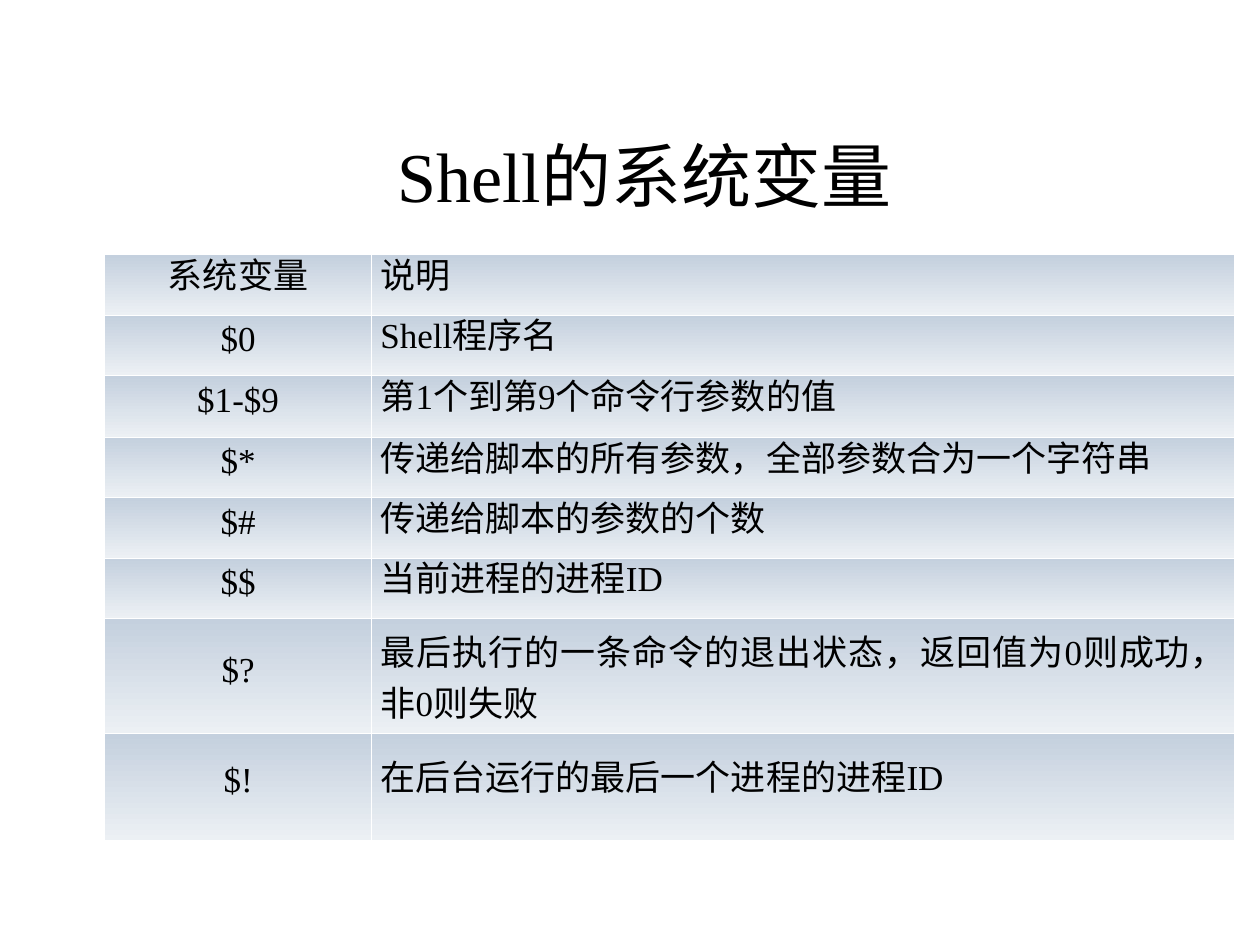
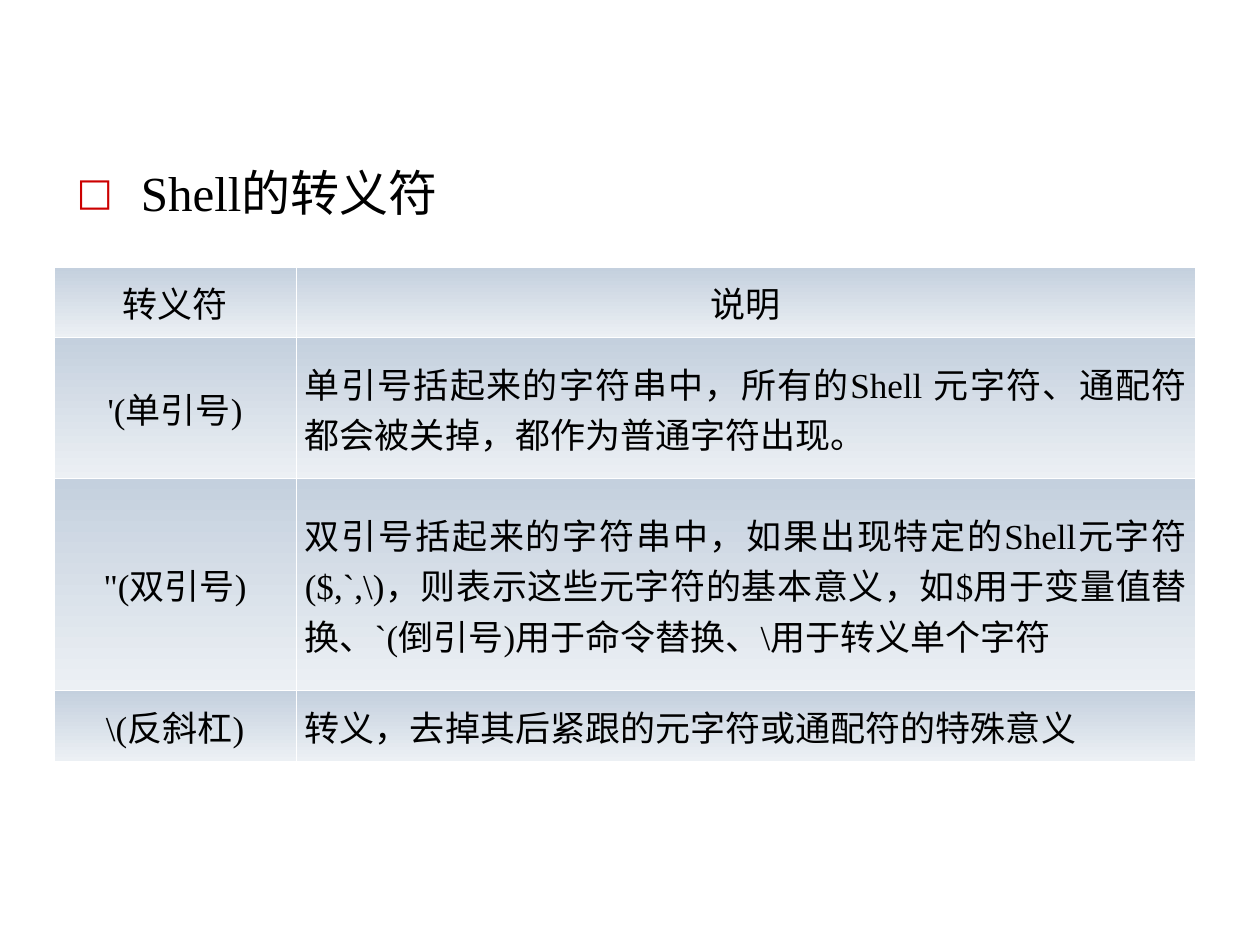
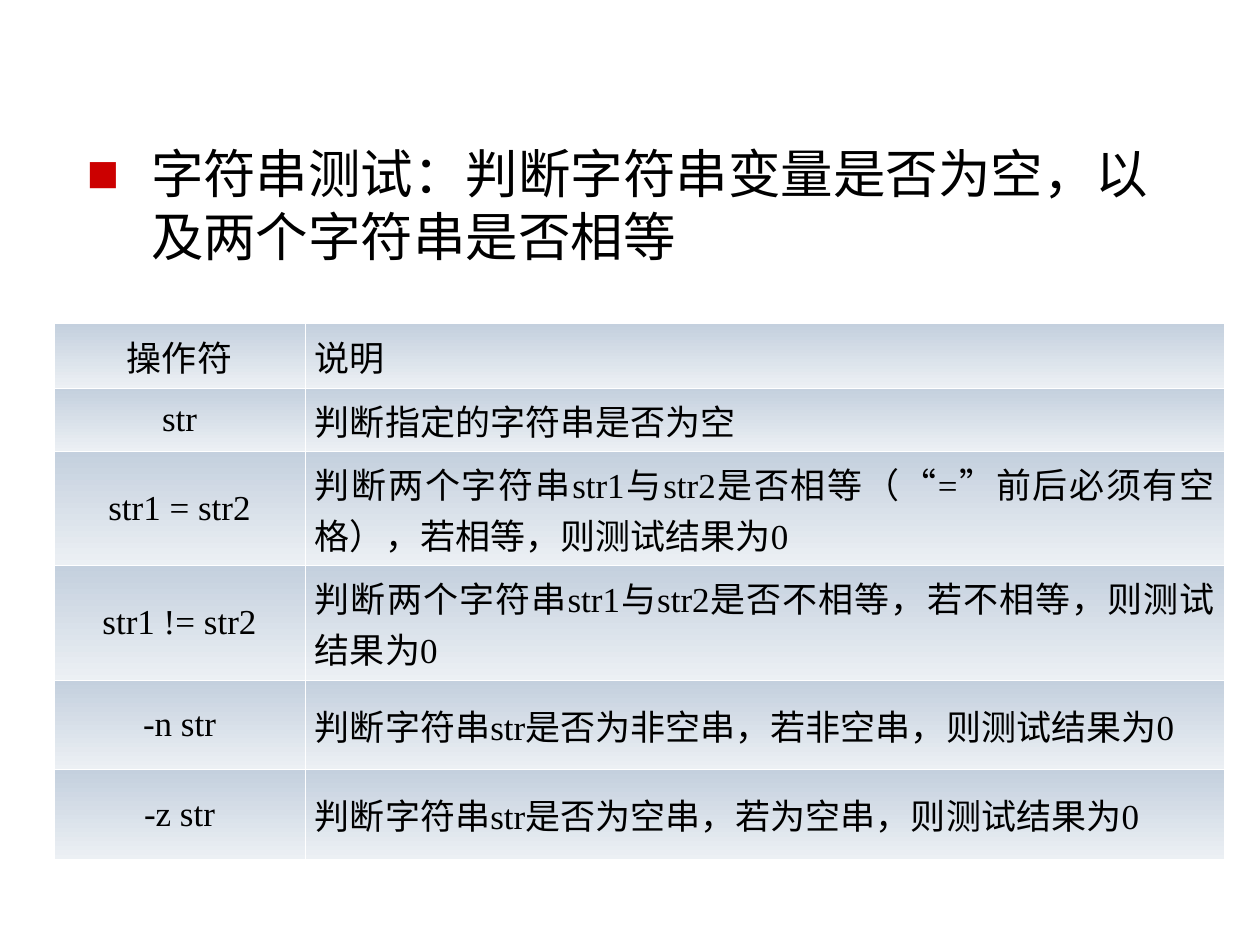
from dataclasses import dataclass

from lxml import etree
from pptx import Presentation
from pptx import util as u
from pptx.dml.color import RGBColor
from pptx.enum import text
from pptx.oxml import ns

COLORS = {
    "ink": "000000",
    "marker": "CC0000",
    "cell_top": "C4D0DE",
    "cell_bottom": "ECF0F4",
    "border": "FFFFFF",
}
SERIF = "Times New Roman"
SANS = "DejaVu Sans"
CJK = "Noto Sans CJK SC"
CELL_SIZE = 20
CENTER = text.PP_ALIGN.CENTER
JUSTIFY = text.PP_ALIGN.JUSTIFY


@dataclass
class Heading:
    left: float
    top: float
    width: float
    height: float
    size: float
    runs: list[tuple[str, str, str]]
    space_before: float = 0
    marker: str = ""
    marker_percent: int = 100


@dataclass
class Reference:
    left: float
    top: float
    widths: list[float]
    heights: list[float]
    rows: list[tuple[str, str]]
    margin: float = 0.08
    header_font: str = SERIF
    header_align: text.PP_ALIGN = JUSTIFY
    line_points: float | None = None
    loose_rows: tuple[int, ...] = ()


def rgb(name: str) -> RGBColor:
    return RGBColor.from_string(COLORS[name])


def add_child(parent, tag: str, **attributes: str):
    return etree.SubElement(parent, ns.qn(tag), **attributes)


def set_font(font, size: float, latin: str, asian: str) -> None:
    font.size = u.Pt(size)
    font.color.rgb = rgb("ink")
    font.name = latin
    add_child(font._rPr, "a:ea", typeface=asian)


def add_marker(paragraph, symbol: str, percent: int) -> None:
    properties = paragraph._p.get_or_add_pPr()
    indent = u.Inches(0.51)
    properties.set("marL", str(indent))
    properties.set("indent", str(-indent))
    color = add_child(properties, "a:buClr")
    add_child(color, "a:srgbClr", val=COLORS["marker"])
    add_child(properties, "a:buSzPct", val=str(percent * 1000))
    add_child(properties, "a:buFont", typeface=SANS)
    add_child(properties, "a:buChar", char=symbol)


def draw_heading(slide, heading: Heading) -> None:
    box = slide.shapes.add_textbox(
        u.Inches(heading.left), u.Inches(heading.top),
        u.Inches(heading.width), u.Inches(heading.height),
    )
    box.text_frame.word_wrap = True
    paragraph = box.text_frame.paragraphs[0]
    paragraph.space_before = u.Pt(heading.space_before)
    if heading.marker:
        add_marker(paragraph, heading.marker, heading.marker_percent)
    else:
        paragraph.alignment = CENTER
    for words, latin, asian in heading.runs:
        run = paragraph.add_run()
        run.text = words
        set_font(run.font, heading.size, latin, asian)


def style_cell(cell, margin: float) -> None:
    cell.vertical_anchor = text.MSO_ANCHOR.MIDDLE
    cell.margin_left = cell.margin_right = u.Inches(margin)
    cell.margin_top = cell.margin_bottom = u.Inches(0.05)
    cell.fill.gradient()
    cell.fill.gradient_angle = 270
    for stop, name in zip(cell.fill.gradient_stops, ("cell_top", "cell_bottom")):
        stop.color.rgb = rgb(name)
    properties = cell._tc.get_or_add_tcPr()
    for position, side in enumerate(("L", "R", "T", "B")):
        line = add_child(properties, f"a:ln{side}", w=str(u.Pt(0.45)))
        add_child(add_child(line, "a:solidFill"), "a:srgbClr", val=COLORS["border"])
        properties.insert(position, line)


def draw_reference(slide, reference: Reference) -> None:
    table = slide.shapes.add_table(
        len(reference.rows), len(reference.widths),
        u.Inches(reference.left), u.Inches(reference.top),
        u.Inches(sum(reference.widths)), u.Inches(sum(reference.heights)),
    ).table
    table.first_row = table.horz_banding = False
    for column, width in zip(table.columns, reference.widths):
        column.width = u.Inches(width)
    for index, (row, height) in enumerate(zip(table.rows, reference.heights)):
        row.height = u.Inches(height)
        latin = SERIF if index else reference.header_font
        explanation_align = JUSTIFY if index else reference.header_align
        alignments = (CENTER, explanation_align)
        for column, words in enumerate(reference.rows[index]):
            cell = row.cells[column]
            style_cell(cell, reference.margin)
            cell.text = words
            paragraph = cell.text_frame.paragraphs[0]
            paragraph.alignment = alignments[column]
            if reference.line_points and not (column and index in reference.loose_rows):
                paragraph.line_spacing = u.Pt(reference.line_points)
            set_font(paragraph.font, CELL_SIZE, latin, CJK)


PAGES = [
    (
        Heading(0.67, 1.0, 8.75, 1.1, 40,
                [(" Shell", SERIF, SANS), ("的系统变量", SANS, SANS)], space_before=10),
        Reference(
            0.83, 2.02, [2.12, 6.85], [0.48, 0.48, 0.49, 0.48, 0.48, 0.48, 0.91, 0.85],
            [
                ("系统变量", "说明"),
                ("$0", "Shell程序名"),
                ("$1-$9", "第1个到第9个命令行参数的值"),
                ("$*", "传递给脚本的所有参数，全部参数合为一个字符串"),
                ("$#", "传递给脚本的参数的个数"),
                ("$$", "当前进程的进程ID"),
                ("$?", "最后执行的一条命令的退出状态，返回值为0则成功，非0则失败"),
                ("$!", "在后台运行的最后一个进程的进程ID"),
            ],
            margin=0.07, header_font=CJK, line_points=15.6, loose_rows=(6,),
        ),
    ),
    (
        Heading(0.51, 1.24, 8.75, 5.19, 28, [("Shell的转义符", SERIF, CJK)],
                marker="□", marker_percent=78),
        Reference(
            0.43, 2.12, [1.92, 7.14], [0.56, 1.12, 1.68, 0.56],
            [
                ("转义符", "说明"),
                ("'(单引号)", "单引号括起来的字符串中，所有的Shell 元字符、通配符都会被关掉，"
                 "都作为普通字符出现。"),
                ('"(双引号)', "双引号括起来的字符串中，如果出现特定的Shell元字符($,`,\\)，"
                 "则表示这些元字符的基本意义，如$用于变量值替换、`(倒引号)用于命令替换、"
                 "\\用于转义单个字符"),
                ("\\(反斜杠)", "转义，去掉其后紧跟的元字符或通配符的特殊意义"),
            ],
            margin=0.07, header_align=CENTER,
        ),
    ),
    (
        Heading(0.59, 1.07, 8.75, 4.67, 30,
                [("字符串测试：判断字符串变量是否为空，以及两个字符串是否相等", SANS, SANS)],
                space_before=7.5, marker="■", marker_percent=65),
        Reference(
            0.43, 2.57, [1.99, 7.3], [0.51, 0.5, 0.91, 0.91, 0.71, 0.71],
            [
                ("操作符", "说明"),
                ("str", "判断指定的字符串是否为空"),
                ("str1 = str2", "判断两个字符串str1与str2是否相等（“=”前后必须有空格），"
                 "若相等，则测试结果为0"),
                ("str1 != str2", "判断两个字符串str1与str2是否不相等，若不相等，则测试结果为0"),
                ("-n str", "判断字符串str是否为非空串，若非空串，则测试结果为0"),
                ("-z str", "判断字符串str是否为空串，若为空串，则测试结果为0"),
            ],
        ),
    ),
]


def main() -> None:
    deck = Presentation()
    deck.slide_width, deck.slide_height = u.Inches(10), u.Inches(7.5)
    for heading, reference in PAGES:
        slide = deck.slides.add_slide(deck.slide_layouts[6])
        draw_heading(slide, heading)
        draw_reference(slide, reference)
    deck.save("out.pptx")


if __name__ == "__main__":
    main()
